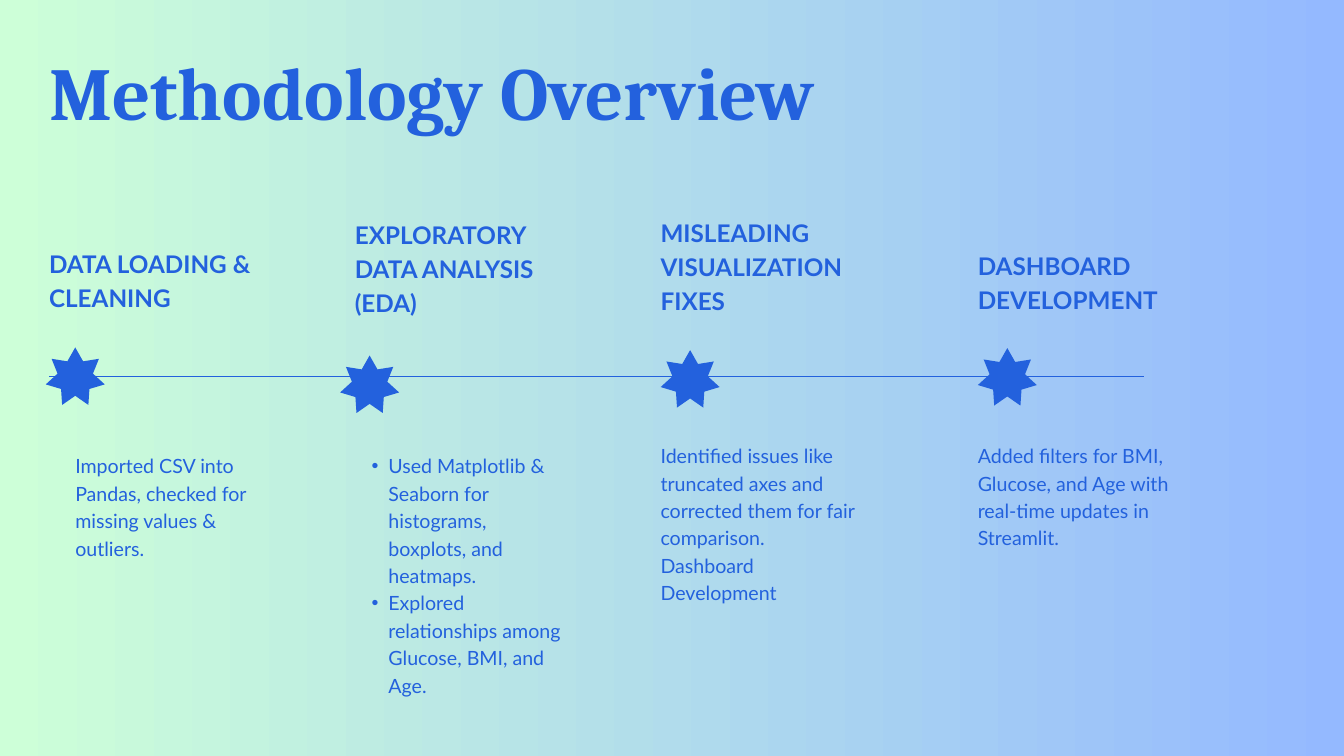
"""Build the methodology timeline slide."""
from math import cos, pi, sin

from lxml import etree
from pptx import Presentation
from pptx import util as u
from pptx.dml.color import RGBColor
from pptx.enum import shapes, text
from pptx.oxml.ns import qn

BLUE = "2361DD"
FADE = ["CDFFD8", "94B9FF"]
TITLE = "Methodology Overview"
AXIS = (0.73, 17.03, 5.6)
WIDE = 3.15
STEPS = [
    {"head": "DATA LOADING & CLEANING", "at": (0.73, 3.63, 0.98),
     "star": (1.12, 5.62), "note": (1.12, 6.7, 1.62),
     "body": ["Imported CSV into Pandas, checked for missing values & outliers."]},
    {"head": "EXPLORATORY DATA ANALYSIS (EDA)", "at": (5.28, 3.2, 1.48),
     "star": (5.5, 5.74), "note": (5.28, 6.7, 4.06), "list": True,
     "body": ["Used Matplotlib & Seaborn for histograms, boxplots, and heatmaps.",
              "Explored relationships among Glucose, BMI, and Age."]},
    {"head": "MISLEADING VISUALIZATION FIXES", "at": (9.83, 3.17, 1.48),
     "star": (10.27, 5.66), "note": (9.83, 6.55, 2.84),
     "body": ["Identified issues like truncated axes and corrected them for fair comparison.",
              "Dashboard Development"]},
    {"head": "DASHBOARD DEVELOPMENT", "at": (14.55, 3.67, 0.98),
     "star": (14.99, 5.63), "note": (14.55, 6.55, 1.62),
     "body": ["Added filters for BMI, Glucose, and Age with real-time updates in Streamlit."]},
]


def tint(color, code):
    color.rgb = RGBColor.from_string(code)


def place(shape, x, y, w, h):
    shape.left, shape.top, shape.width, shape.height = map(u.Inches, (x, y, w, h))


def bullet(para):
    para.level = 1
    props = para._p.get_or_add_pPr()
    props.set("marL", str(u.Inches(0.5)))
    props.set("indent", str(u.Inches(-0.25)))
    etree.SubElement(props, qn("a:buFont")).set("typeface", "Arial")
    etree.SubElement(props, qn("a:buChar")).set("char", "•")


def write(shape, lines, size, lead, face="Lato", bold=False, dots=False):
    frame = shape.text_frame
    frame.word_wrap = True
    frame.auto_size = text.MSO_AUTO_SIZE.SHAPE_TO_FIT_TEXT
    frame.vertical_anchor = text.MSO_ANCHOR.TOP
    frame.margin_left = frame.margin_right = frame.margin_top = frame.margin_bottom = 0
    for i, line in enumerate(lines):
        para = frame.paragraphs[0] if i == 0 else frame.add_paragraph()
        para.text = line
        para.alignment = text.PP_ALIGN.LEFT
        para.line_spacing, para.space_before = u.Pt(lead), u.Pt(0)
        if dots:
            bullet(para)
        font = para.font
        font.name, font.size, font.bold = face, u.Pt(size), bold
        tint(font.color, BLUE)


def star(slide, x, y, points=7, outer=0.45, inner=0.27):
    spots = []
    for i in range(2 * points):
        reach = inner if i % 2 else outer
        turn = i * pi / points
        spots.append((u.Inches(x + reach * sin(turn)), u.Inches(y - reach * cos(turn))))
    pen = slide.shapes.build_freeform(*spots[0])
    pen.add_line_segments(spots[1:], close=True)
    shape = pen.convert_to_shape()
    shape.shadow.inherit = False
    shape.fill.solid()
    tint(shape.fill.fore_color, BLUE)
    shape.line.fill.background()


def axis(slide, left, right, y):
    line = slide.shapes.add_connector(
        shapes.MSO_CONNECTOR.STRAIGHT, *map(u.Inches, (left, y, right, y)))
    tint(line.line.color, BLUE)
    line.line.width = u.Pt(1.5)
    etree.SubElement(line._element.spPr, qn("a:effectLst"))


def main():
    deck = Presentation()
    deck.slide_width, deck.slide_height = u.Inches(20), u.Inches(11.25)
    slide = deck.slides.add_slide(deck.slide_layouts[1])
    fill = slide.background.fill
    fill.gradient()
    fill.gradient_angle = 0
    for stop, code in zip(fill.gradient_stops, FADE):
        tint(stop.color, code)

    axis(slide, *AXIS)
    title, body = slide.placeholders
    place(title, 0.73, 0.8, 17.3, 1.26)
    write(title, [TITLE], 80, 88, "Cambria", True)
    for step in STEPS:
        dots = step.get("list", False)
        head = slide.shapes.add_textbox(0, 0, 0, 0)
        note = body if dots else slide.shapes.add_textbox(0, 0, 0, 0)
        for box, (x, y, tall) in ((head, step["at"]), (note, step["note"])):
            place(box, x, y, WIDE, tall)
        write(head, [step["head"]], 26, 36.4, bold=True)
        write(note, step["body"], 21, 29.4, dots=dots)
        star(slide, *step["star"])
    deck.save("out.pptx")


if __name__ == "__main__":
    main()
